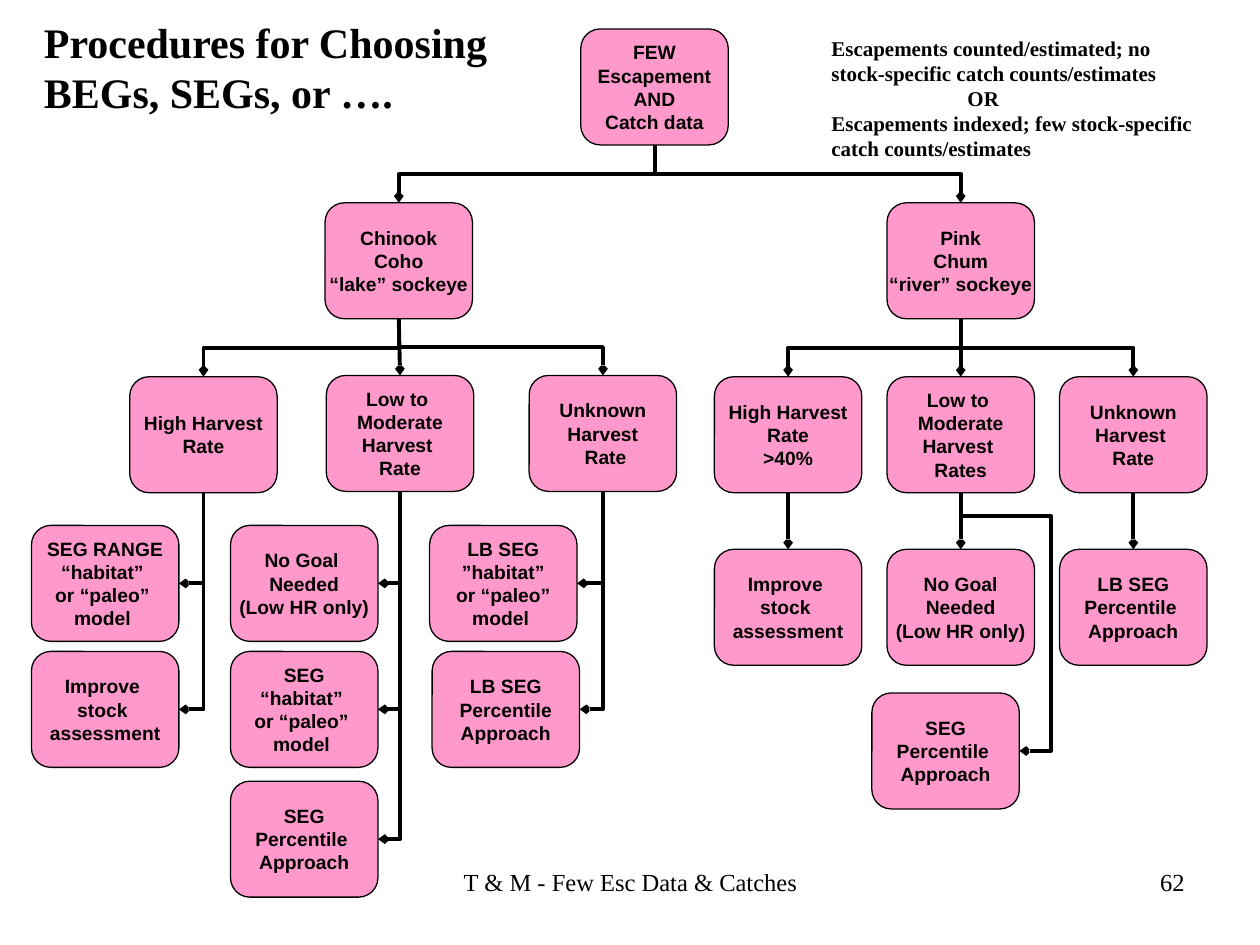
from lxml import etree
from pptx import Presentation, util as u
from pptx.dml.color import RGBColor
from pptx.enum import shapes, text
from pptx.oxml.ns import qn

COLUMNS, ROWS = 100, 75
BOX_WIDTH, BOX_HEIGHT = 11.7, 9.2
TOP, LEFT, BOTTOM, RIGHT = range(4)
ALIGN = text.PP_ALIGN


def color(value):
    return RGBColor.from_string(value)


class FlowChart:
    """Holds the style, the slide and its grid."""

    ink, fill = "000000", "FF99CC"
    label_font = {"name": "Arial", "size": u.Pt(11), "bold": True}

    def __init__(self, deck):
        self.slide = deck.slides.add_slide(deck.slide_layouts[6])
        self.column = deck.slide_width / COLUMNS
        self.row = deck.slide_height / ROWS

    def place(self, left, top, width, height):
        return (round(left * self.column), round(top * self.row),
                round(width * self.column), round(height * self.row))

    def add_lines(self, frame, lines, align, font):
        for number, line in enumerate(lines):
            para = frame.paragraphs[0] if number == 0 else frame.add_paragraph()
            para.alignment = align
            para.line_spacing = u.Pt(font["size"].pt * 1.2)
            span = para.add_run()
            span.text = line
            for name, value in font.items():
                setattr(span.font, name, value)
            span.font.color.rgb = color(self.ink)

    def label(self, place, lines, size, align=ALIGN.LEFT, bold=False, wrap=True):
        frame = self.slide.shapes.add_textbox(*self.place(*place)).text_frame
        frame.word_wrap = wrap
        font = {"name": "Times New Roman", "size": u.Pt(size), "bold": bold}
        self.add_lines(frame, lines, align, font)
        return frame

    def box(self, left, top, *lines):
        box = self.slide.shapes.add_shape(
            shapes.MSO_SHAPE.ROUNDED_RECTANGLE,
            *self.place(left, top, BOX_WIDTH, BOX_HEIGHT))
        box.shadow.inherit = False
        box.fill.solid()
        box.fill.fore_color.rgb = color(self.fill)
        box.line.color.rgb = color(self.ink)
        box.line.width = u.Pt(0.75)
        frame = box.text_frame
        layout = {"margin_left": 0, "margin_right": 0, "margin_top": 0,
                  "margin_bottom": 0, "word_wrap": False,
                  "vertical_anchor": text.MSO_ANCHOR.MIDDLE}
        for name, value in layout.items():
            setattr(frame, name, value)
        self.add_lines(frame, lines, ALIGN.CENTER, self.label_font)
        return box

    def connector(self, kind, *ends):
        link = self.slide.shapes.add_connector(kind, *(round(end) for end in ends))
        link.line.color.rgb = color(self.ink)
        link.line.width = u.Pt(2.25)
        properties = link._element.spPr
        etree.SubElement(properties.find(qn("a:ln")), qn("a:tailEnd"),
                         type="arrow", w="sm", len="sm")
        etree.SubElement(properties, qn("a:effectLst"))
        return link

    def straight(self, parent, child):
        link = self.connector(shapes.MSO_CONNECTOR.STRAIGHT, 0, 0, 0, 0)
        link.begin_connect(parent, BOTTOM)
        link.end_connect(child, TOP)

    def elbow(self, parent, child, side=TOP, preset="bentConnector3", bends=()):
        """Leave the parent downwards: a horizontal elbow turned a quarter."""
        x1, y1 = parent.left + parent.width / 2, parent.top + parent.height
        x2, y2 = child.left + child.width / 2, child.top
        if side == RIGHT:
            x2, y2 = child.left + child.width, child.top + child.height / 2
        middle_x, middle_y = (x1 + x2) / 2, (y1 + y2) / 2
        half_length, half_depth = (y2 - y1) / 2, abs(x2 - x1) / 2
        turn = 90
        if x2 > x1:
            half_length, turn = -half_length, 270
        link = self.connector(
            shapes.MSO_CONNECTOR.ELBOW,
            middle_x - half_length, middle_y - half_depth,
            middle_x + half_length, middle_y + half_depth)
        properties = link._element.spPr
        properties.find(qn("a:xfrm")).set("rot", str(turn * 60000))
        geometry = properties.find(qn("a:prstGeom"))
        geometry.set("prst", preset)
        guides = geometry.find(qn("a:avLst"))
        for number, bend in enumerate(bends, 1):
            etree.SubElement(guides, qn("a:gd"), name=f"adj{number}",
                             fmla=f"val {round(bend * 100000)}")

    def hang(self, parent, *children):
        for child in children:
            self.elbow(parent, child, RIGHT, "bentConnector2")


def main():
    deck = Presentation()
    deck.slide_width, deck.slide_height = u.Inches(10), u.Inches(7.5)
    chart = FlowChart(deck)

    improve = ("Improve ", "stock ", "assessment")
    percentile = ("Percentile ", "Approach")
    model = ("“habitat” ", "or “paleo” ", "model ")
    moderate = ("Low to ", "Moderate", "Harvest ")
    species_row, rate_row = 16.1, 29.9
    action_row, second_row, third_row = 41.7, 51.7, 62
    lake_left, lake_middle, lake_right = 2.5, 18.3, 34.1
    river_row = 43.6
    river_left, river_middle, river_right = (56.7 + 13.7 * step for step in range(3))

    root = chart.box(46.1, 2.3, "FEW", "Escapement", "AND", "Catch data")
    lake = chart.box(25.8, species_row, "Chinook", "Coho", "“lake” sockeye")
    river = chart.box(river_middle, species_row, "Pink", "Chum", "“river” sockeye")

    lake_high = chart.box(10.3, rate_row, "High Harvest", "Rate")
    lake_low = chart.box(25.9, 29.8, *moderate, "Rate")
    lake_unknown = chart.box(42, 29.8, "Unknown", "Harvest", " Rate")
    river_high = chart.box(river_left, rate_row, "High Harvest", "Rate", ">40%")
    river_low = chart.box(river_middle, rate_row, *moderate, "Rates")
    river_unknown = chart.box(river_right, rate_row, "Unknown", "Harvest ", "Rate")

    chart.hang(lake_high,
               chart.box(lake_left, action_row, "SEG RANGE", *model),
               chart.box(lake_left, second_row, *improve))
    chart.hang(lake_low,
               chart.box(lake_middle, action_row, "No Goal ", "Needed", "(Low HR only)"),
               chart.box(lake_middle, second_row, "SEG", *model),
               chart.box(lake_middle, third_row, "SEG", *percentile))
    chart.hang(lake_unknown,
               chart.box(lake_right, action_row, "LB SEG", "”habitat”",
                         " or “paleo” ", "model "),
               chart.box(34.3, second_row, "LB SEG", "Percentile", "Approach"))

    for parent, child in (
        (lake, lake_low),
        (river, river_low),
        (river_high, chart.box(river_left, river_row, *improve)),
        (river_low, chart.box(river_middle, river_row,
                              "No Goal", "Needed", "(Low HR only)")),
        (river_unknown, chart.box(river_right, river_row, "LB SEG", *percentile)),
    ):
        chart.straight(parent, child)

    for parent, children in (
        (root, (lake, river)),
        (lake, (lake_high, lake_unknown)),
        (river, (river_high, river_unknown)),
    ):
        for child in children:
            chart.elbow(parent, child)

    river_percentile = chart.box(69.2, 55, "SEG", *percentile)
    chart.elbow(river_low, river_percentile, RIGHT, "bentConnector4", (0.09, 1.54))

    chart.label((2.5, 0.8, 38.2, 9), ("Procedures for Choosing", "BEGs, SEGs, or …."),
                24, bold=True, wrap=False)
    note = chart.label(
        (65, 2.3, 30.8, 11),
        ("Escapements counted/estimated; no stock-specific catch counts/estimates",
         "OR",
         "Escapements indexed; few stock-specific catch counts/estimates"),
        12, bold=True)
    note.paragraphs[1]._p.get_or_add_pPr().set("marL", str(u.Inches(1.08)))
    chart.label((34.2, 68.3, 31.7, 3.4), ("T & M - Few Esc Data & Catches",),
                14, ALIGN.CENTER)
    chart.label((71.7, 68.3, 23.3, 5.2), ("62",), 14, ALIGN.RIGHT)

    deck.save("out.pptx")


if __name__ == "__main__":
    main()
